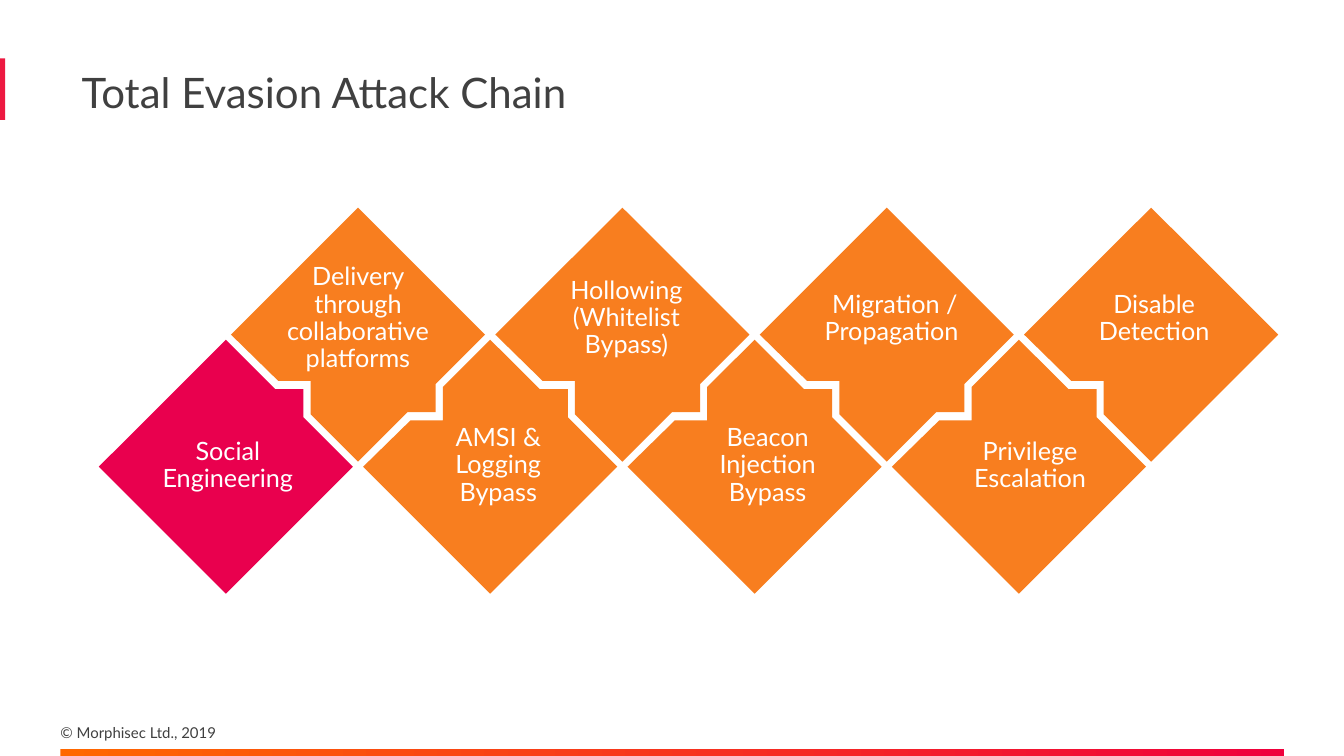
from pptx import Presentation
from pptx.dml.color import RGBColor
from pptx.enum.shapes import MSO_SHAPE
from pptx.enum.text import MSO_ANCHOR, MSO_AUTO_SIZE, PP_ALIGN
from pptx.util import Inches, Pt

# Content
TITLE = "Total Evasion Attack Chain"
COPYRIGHT = "© Morphisec Ltd., 2019"
# step label, lines it wraps to, label width, label shift right of the diamond's centre
STEPS = [
    ("Social Engineering", 2, 1.9, 0.02),
    ("Delivery through collaborative platforms", 4, 1.96, 0),
    ("AMSI & Logging Bypass", 3, 1.38, 0.08),
    ("Hollowing (Whitelist Bypass)", 3, 1.93, 0.04),
    ("Beacon Injection Bypass", 3, 1.69, 0.13),
    ("Migration / Propagation ", 2, 1.87, 0.08),
    ("Privilege Escalation", 2, 1.59, 0.11),
    ("Disable Detection", 2, 1.62, 0.03),
]
COLORS = {
    "first": "E9004E", "step": "F87E1F", "label": "FFFFFF", "text": "404040",
    "accent": "ED1941", "bar_start": "FF6800", "bar_end": "EF003C",
}

# Chain geometry, in inches
FIRST_X, STEP_X = 2.24, 1.311
UPPER_Y, LOWER_Y = 3.32, 4.63
HALF = 1.26
RIGHT_NOTCH = [(0.77, 0.49), (0.77, 0.77), (0.49, 0.77)]
LEFT_NOTCH = [(-0.47, 0.79), (-0.47, 0.46), (-0.79, 0.46)]
LINE_HEIGHT, LABEL_PADDING = 0.27, 0.11


def color(name):
    return RGBColor.from_string(COLORS[name])


def write(frame, text, size, color_name, align=PP_ALIGN.LEFT, spacing=None,
          anchor=MSO_ANCHOR.MIDDLE, wrap=True, auto_size=MSO_AUTO_SIZE.NONE):
    frame.word_wrap = wrap
    frame.auto_size = auto_size
    frame.vertical_anchor = anchor
    paragraph = frame.paragraphs[0]
    paragraph.alignment = align
    paragraph.line_spacing = spacing
    run = paragraph.add_run()
    run.text = text
    run.font.name = "Lato"
    run.font.size = Pt(size)
    run.font.color.rgb = color(color_name)


def add_bar(shapes, left, top, width, height):
    bar = shapes.add_shape(MSO_SHAPE.RECTANGLE, Inches(left), Inches(top),
                           Inches(width), Inches(height))
    bar.shadow.inherit = False
    bar.line.fill.background()
    return bar


def add_step(shapes, index, text, lines, width, shift):
    upper = index % 2 == 1
    center_x = FIRST_X + index * STEP_X
    center_y = UPPER_Y if upper else LOWER_Y
    toward_row = 1 if upper else -1  # the notched tip points at the other row

    # Diamond, notched only where it meets a neighbour
    outline = [(HALF, 0)]
    if index < len(STEPS) - 1:
        outline += RIGHT_NOTCH
    outline.append((0, HALF))
    if index > 0:
        outline += LEFT_NOTCH
    outline += [(-HALF, 0), (0, -HALF)]
    points = [(Inches(center_x + x), Inches(center_y + toward_row * y))
              for x, y in outline]
    group = shapes.add_group_shape()
    builder = group.shapes.build_freeform(*points[0])
    builder.add_line_segments(points[1:], close=True)
    diamond = builder.convert_to_shape()
    diamond.shadow.inherit = False
    diamond.fill.solid()
    diamond.fill.fore_color.rgb = color("step" if index else "first")
    diamond.line.fill.background()

    # Label
    height = lines * LINE_HEIGHT + LABEL_PADDING
    label_y = center_y - (0.16 if upper else 0.01)
    label = group.shapes.add_textbox(
        Inches(center_x + shift - width / 2), Inches(label_y - height / 2),
        Inches(width), Inches(height))
    write(label.text_frame, text, 18, "label", align=PP_ALIGN.CENTER,
          spacing=0.9, auto_size=MSO_AUTO_SIZE.SHAPE_TO_FIT_TEXT)


def main():
    deck = Presentation()
    deck.slide_width, deck.slide_height = Inches(13.33), Inches(7.5)
    slide = deck.slides.add_slide(deck.slide_layouts[5])
    shapes = slide.shapes

    # Footer bar and title accent
    footer_bar = add_bar(shapes, 0.6, 7.43, 12.14, 0.08)
    footer_bar.fill.gradient()
    footer_bar.fill.gradient_angle = 0
    for stop, name, position in zip(footer_bar.fill.gradient_stops,
                                    ("bar_start", "bar_end"), (0, 1)):
        stop.color.rgb = color(name)
        stop.position = position
    accent = add_bar(shapes, 0, 0.58, 0.05, 0.61)
    accent.fill.solid()
    accent.fill.fore_color.rgb = color("accent")

    # Copyright line
    copyright_line = shapes.add_textbox(Inches(0.6), Inches(7.13),
                                        Inches(1.77), Inches(0.31))
    copyright_line.text_frame.margin_left = 0
    write(copyright_line.text_frame, COPYRIGHT, 10.7, "text",
          anchor=MSO_ANCHOR.TOP, wrap=False)

    # Title
    title = shapes.title
    title.left, title.top = Inches(0.71), Inches(0.26)
    title.width, title.height = Inches(11.92), Inches(1.36)
    write(title.text_frame, TITLE, 30, "text", spacing=0.9)

    # Attack chain
    for index, step in enumerate(STEPS):
        add_step(shapes, index, *step)

    deck.save("out.pptx")


if __name__ == "__main__":
    main()
